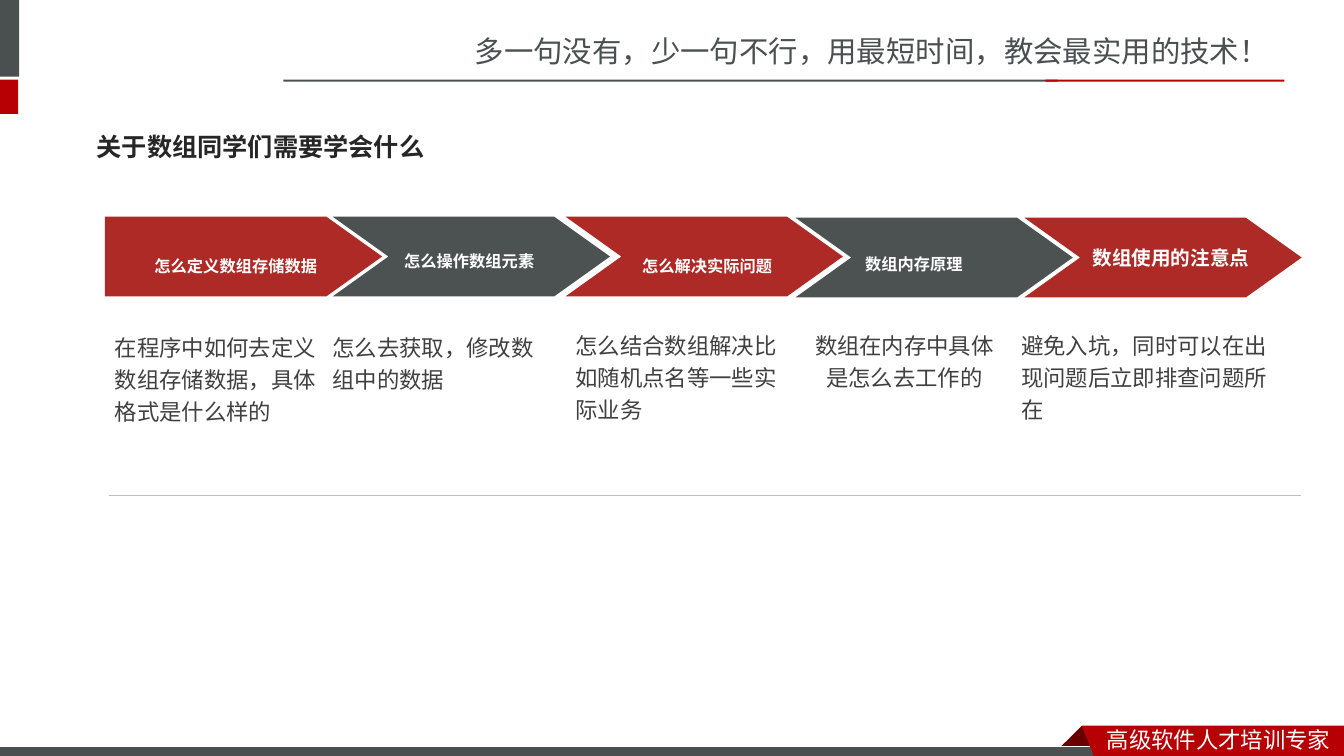
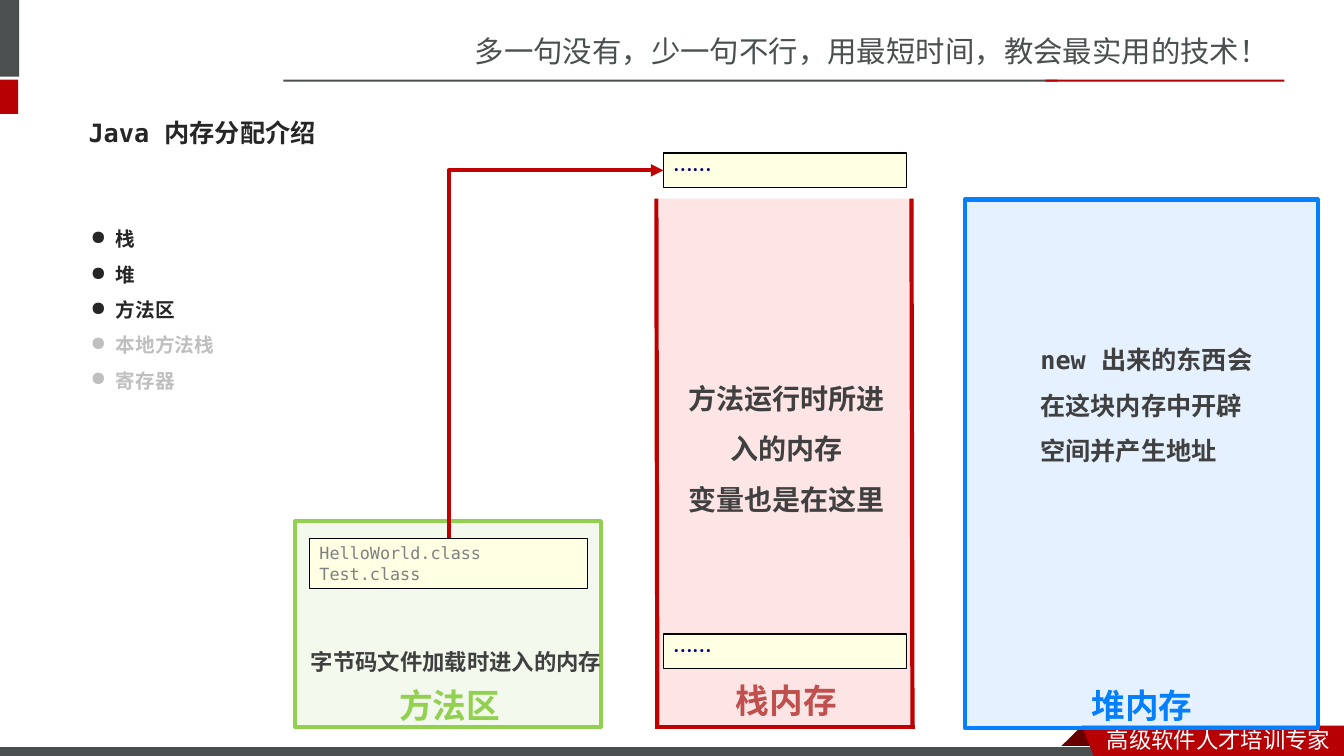
from lxml import etree
from pptx import Presentation
from pptx.dml.color import RGBColor
from pptx.enum.shapes import MSO_CONNECTOR, MSO_SHAPE
from pptx.enum.text import MSO_ANCHOR, MSO_AUTO_SIZE, PP_ALIGN
from pptx.oxml.ns import qn
from pptx.util import Inches, Pt

RECT, PENTAGON, CHEVRON = MSO_SHAPE.RECTANGLE, MSO_SHAPE.PENTAGON, MSO_SHAPE.CHEVRON
STRAIGHT, ELBOW = MSO_CONNECTOR.STRAIGHT, MSO_CONNECTOR.ELBOW
TOP, MIDDLE = MSO_ANCHOR.TOP, MSO_ANCHOR.MIDDLE
LEFT, CENTER = PP_ALIGN.LEFT, PP_ALIGN.CENTER
FIT, FIXED = MSO_AUTO_SIZE.SHAPE_TO_FIT_TEXT, MSO_AUTO_SIZE.NONE

SANS, SANS_JP, MONO = "Noto Sans CJK SC", "Noto Sans CJK JP", "DejaVu Sans Mono"
COLORS = {
    "slate": "49504F", "red": "B60004", "fold": "680000", "white": "FFFFFF",
    "step_red": "AD2A26", "step_gray": "4C5252", "ink": "262626", "body": "404040",
    "muted": "BFBFBF", "heap": "047FFD", "stack": "FD0000", "stack_name": "C0504D",
    "stack_edge": "C00000", "method": "92D050", "note": "FFFFE4", "black": "000000",
    "code": "808080", "navy": "000080",
}

# Shared content
TAGLINE = "多一句没有，少一句不行，用最短时间，教会最实用的技术！"
FOOTER = "高级软件人才培训专家"
BANDS = [  # box, colour
    ((-0.06, 0, 0.25, 0.76), "slate"),
    ((-0.06, 0.79, 0.24, 0.34), "red"),
    ((2.81, 0.79, 7.68, 0.02), "slate"),
    ((10.37, 0.79, 2.37, 0.02), "red"),
]
RIBBON_FOLD = [(10.73, 7.2), (10.95, 7.42), (10.94, 7.43), (10.52, 7.43), (10.51, 7.42)]
RIBBON = [(10.73, 7.2), (13.33, 7.2), (13.33, 7.54), (10.86, 7.53)]

# Slide 1 content
GOALS_TITLE = "关于数组同学们需要学会什么"
STEP_LEFTS = [1.04, 3.3, 5.61, 7.89, 10.16]
STEPS = [  # heading, its box, line spacing, explanation, its box, alignment
    ("怎么定义数组存储数据", (1.03, 2.37, 2.62, 0.36), 1.2,
     "在程序中如何去定义数组存储数据，具体格式是什么样的", (1.04, 3.21, 2.23, 1.07), LEFT),
    ("怎么操作数组元素", (3.49, 2.37, 2.33, 0.33), None,
     "怎么去获取，修改数组中的数据", (3.2, 3.21, 2.3, 0.73), LEFT),
    ("怎么解决实际问题", (5.28, 2.37, 3.47, 0.36), 1.2,
     "怎么结合数组解决比如随机点名等一些实际业务", (5.61, 3.19, 2.3, 1.05), LEFT),
    ("数组内存原理", (7.9, 2.4, 2.33, 0.33), None,
     "数组在内存中具体是怎么去工作的", (7.91, 3.19, 2.12, 0.73), CENTER),
    ("数组使用的注意点", (10.45, 2.35, 2.33, 0.37), 1.2,
     "避免入坑，同时可以在出现问题后立即排查问题所在", (10.03, 3.19, 2.75, 1.04), LEFT),
]

# Slide 2 content
MEMORY_TITLE = "Java 内存分配介绍"
MEMORY_AREAS = [("栈", "ink"), ("堆", "ink"), ("方法区", "ink"),
                ("本地方法栈", "muted"), ("寄存器", "muted")]
REGIONS = [  # name, name box, name colour, region box, colour, outlined
    ("堆内存", (10.64, 6.55, 1.37, 0.64), "heap", (9.57, 1.98, 3.5, 5.24), "heap", True),
    ("栈内存", (7.12, 6.5, 1.36, 0.64), "stack_name", (6.54, 1.97, 2.52, 5.25), "stack", False),
    ("方法区", (2.92, 6.55, 3.08, 0.64), "method", (2.93, 5.17, 3.03, 2.04), "method", True),
]
STACK_EDGES = [(6.51, 1.97, 6.52, 7.21), (9.04, 1.97, 9.05, 7.22), (9.08, 7.21, 6.5, 7.21)]
CLASS_FILES = ["HelloWorld.class", "Test.class"]
CLASS_BOX = (3.07, 5.34, 2.76, 0.5)
FRAME_BOXES = [(6.58, top, 2.41, 0.34) for top in (1.52, 6.29)]
EXPLANATIONS = [  # paragraphs, box, format
    (["new 出来的东西会在这块内存中开辟空间并产生地址"], (10.22, 3.22, 2.32, 1.42),
     dict(size=18, font=MONO)),
    (["方法运行时所进入的内存", "变量也是在这里"], (6.7, 3.57, 2.2, 1.56),
     dict(size=20, align=CENTER)),
    (["字节码文件加载时进入的内存"], (2.94, 6.25, 3.17, 0.5),
     dict(size=16, font=SANS_JP, align=CENTER)),
]


def rgb(name):
    return RGBColor.from_string(COLORS[name])


def inches(values):
    return [Inches(v) for v in values]


def paint(shape, fill, line=None, width=0.75, alpha=None):
    shape.shadow.inherit = False
    shape.fill.solid()
    shape.fill.fore_color.rgb = rgb(fill)
    if alpha:
        color = shape.fill._xPr.find(".//" + qn("a:srgbClr"))
        etree.SubElement(color, qn("a:alpha"), val=str(alpha * 1000))
    if line:
        shape.line.color.rgb = rgb(line)
        shape.line.width = Pt(width)
    else:
        shape.line.fill.background()
    return shape


def add_block(slide, box, fill, kind=RECT, **style):
    return paint(slide.shapes.add_shape(kind, *inches(box)), fill, **style)


def add_outline(slide, points, fill):
    start, *rest = [inches(point) for point in points]
    builder = slide.shapes.build_freeform(*start)
    builder.add_line_segments(rest, close=True)
    paint(builder.convert_to_shape(), fill)


def add_line(slide, ends, color, width, kind=STRAIGHT):
    line = slide.shapes.add_connector(kind, *inches(ends))
    line.line.color.rgb = rgb(color)
    line.line.width = Pt(width)
    etree.SubElement(line._element.spPr, qn("a:effectLst"))
    return line


def write(shape, paragraphs, *, size, color="body", font=SANS, bold=False, align=LEFT,
          spacing=None, anchor=TOP, fit=FIT, baseline=None, bullet=None):
    """Each paragraph is a string or a (string, colour) pair."""
    frame = shape.text_frame
    frame.word_wrap, frame.auto_size, frame.vertical_anchor = True, fit, anchor
    for i, item in enumerate(paragraphs):
        text, tint = (item, color) if isinstance(item, str) else item
        par = frame.add_paragraph() if i else frame.paragraphs[0]
        par.alignment = align
        if spacing:
            par.line_spacing = spacing
        if bullet:
            props = par._p.get_or_add_pPr()
            indent = Inches(0.25)
            props.set("marL", str(indent))
            props.set("indent", str(-indent))
            etree.SubElement(props, qn("a:buChar"), char=bullet)
        run = par.add_run()
        run.text = text
        run.font.size, run.font.bold, run.font.name = Pt(size), bold, font
        run.font.color.rgb = rgb(tint)
        props = run._r.get_or_add_rPr()
        etree.SubElement(props, qn("a:ea"), typeface=SANS if font == MONO else font)
        if baseline:
            props.set("baseline", str(baseline * 1000))


def add_text(slide, box, paragraphs, **style):
    write(slide.shapes.add_textbox(*inches(box)), paragraphs, **style)


def new_slide(prs, title, title_box):
    slide = prs.slides.add_slide(prs.slide_layouts[6])
    add_text(slide, (4.61, 0.28, 8.73, 0.45), [TAGLINE], size=21, color="slate")
    for box, color in BANDS:
        add_block(slide, box, color)
    add_outline(slide, RIBBON_FOLD, "fold")
    add_block(slide, (-0.01, 7.41, 11, 0.12), "slate", line="white")
    add_outline(slide, RIBBON, "red")
    add_text(slide, (10.88, 7.15, 2.45, 0.37), [FOOTER], size=16, color="white")
    add_text(slide, title_box, [title], size=18, color="ink", font=MONO, bold=True,
             anchor=MIDDLE, fit=FIXED)
    return slide


def build_goals(prs):
    slide = new_slide(prs, GOALS_TITLE, (0.86, 1.17, 4.08, 0.57))
    # Arrow chain
    for i, left in enumerate(STEP_LEFTS):
        arrow = add_block(slide, (left, 2.15 if i < 3 else 2.16, 2.75, 0.79),
                          "step_gray" if i % 2 else "step_red",
                          kind=CHEVRON if i else PENTAGON)
        arrow.adjustments[0] = 0.7
    # Headings and explanations
    for i, (heading, heading_box, spacing, detail, detail_box, align) in enumerate(STEPS):
        last = i == len(STEPS) - 1
        add_text(slide, heading_box, [heading], size=14 if last else 20, color="white",
                 font=SANS_JP, bold=True, align=CENTER, spacing=spacing, anchor=MIDDLE,
                 baseline=None if last else -3)
        add_text(slide, detail_box, [detail], size=16, font=SANS_JP, align=align, spacing=1.2)
    add_line(slide, (1.08, 4.91, 12.9, 4.91), "muted", 0.25)


def add_load_arrow(slide, class_files, frame):
    """Right-angled arrow from the top of class_files to the left of frame."""
    x1, y1, x2, y2 = 4.45, 5.34, 6.58, 1.69
    arrow = add_line(slide, (x1, y1, x2, y2), "stack_edge", 3, kind=ELBOW)
    arrow.begin_connect(class_files, 0)
    arrow.end_connect(frame, 1)
    # One bend: turned a quarter, so width and height swap
    width, height = y1 - y2, x2 - x1
    arrow.left, arrow.top = inches(((x1 + x2 - width) / 2, (y1 + y2 - height) / 2))
    arrow.width, arrow.height = inches((width, height))
    props = arrow._element.spPr
    props.find(qn("a:prstGeom")).set("prst", "bentConnector2")
    for key, value in (("rot", "5400000"), ("flipH", "1"), ("flipV", "1")):
        props.find(qn("a:xfrm")).set(key, value)
    etree.SubElement(props.find(qn("a:ln")), qn("a:tailEnd"), type="triangle")


def build_memory(prs):
    slide = new_slide(prs, MEMORY_TITLE, (0.78, 1.03, 11.76, 0.57))
    add_text(slide, (0.8, 2.09, 9.53, 1.83), MEMORY_AREAS, size=14, font=SANS_JP,
             bold=True, spacing=1.5, bullet="●")
    # Memory regions
    for name, name_box, name_color, box, color, outlined in REGIONS:
        add_block(slide, box, color, line=color if outlined else None, width=3, alpha=10)
        add_text(slide, name_box, [name], size=24, color=name_color, bold=True,
                 align=CENTER, spacing=1.5)
    for edge in STACK_EDGES:
        add_line(slide, edge, "stack_edge", 3)
    # Class files and stack frames
    class_files, *frames = [add_block(slide, box, "note", line="black", width=1)
                            for box in (CLASS_BOX, *FRAME_BOXES)]
    write(class_files, CLASS_FILES, size=12, color="code", font=MONO)
    for frame in frames:
        write(frame, ["……"], size=14, color="navy", bold=True)
    for paragraphs, box, style in EXPLANATIONS:
        add_text(slide, box, paragraphs, bold=True, spacing=1.5, **style)
    add_load_arrow(slide, class_files, frames[0])


def main():
    prs = Presentation()
    prs.slide_width, prs.slide_height = Inches(13.33), Inches(7.5)
    build_goals(prs)
    build_memory(prs)
    prs.save("out.pptx")


if __name__ == "__main__":
    main()
